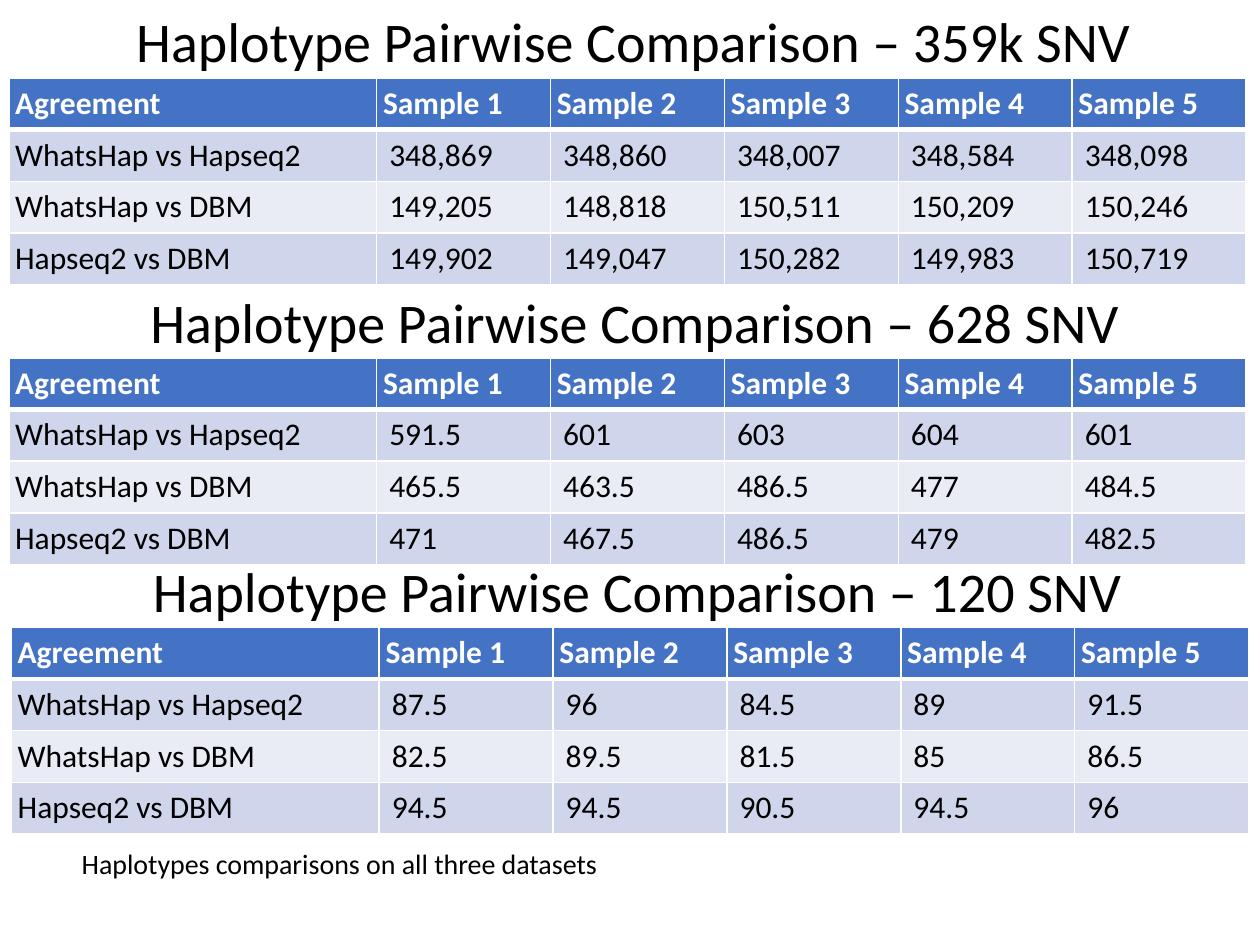
from pptx import Presentation
from pptx.dml.color import RGBColor
from pptx.enum.text import MSO_ANCHOR, MSO_AUTO_SIZE, PP_ALIGN
from pptx.oxml.ns import qn
from pptx.util import Inches, Pt
from lxml import etree

CENTER, LEFT = PP_ALIGN.CENTER, PP_ALIGN.LEFT
TOP = MSO_ANCHOR.TOP
NO_AUTOFIT = MSO_AUTO_SIZE.NONE
TITLE_ONLY = 5

COLORS = {
    "text": "000000",
    "white": "FFFFFF",
    "header": "4472C4",
    "odd_row": "CFD5EA",
    "even_row": "E9EBF5",
}
FONT = "Calibri"

COLUMN_WIDTHS = [2.92] + [1.38] * 5
ROW_HEIGHT = 0.41
HEADER = ["Agreement"] + [f"Sample {number}" for number in range(1, 6)]
PAIRS = ["WhatsHap vs Hapseq2", "WhatsHap vs DBM", "Hapseq2 vs DBM"]

# Data set, heading position, table position, values for each pair
COMPARISONS = [
    ("359k", (0.72, 0), (0.07, 0.62), [
        ["348,869", "348,860", "348,007", "348,584", "348,098"],
        ["149,205", "148,818", "150,511", "150,209", "150,246"],
        ["149,902", "149,047", "150,282", "149,983", "150,719"],
    ]),
    ("628", (0.73, 2.23), (0.07, 2.84), [
        ["591.5", "601", "603", "604", "601"],
        ["465.5", "463.5", "486.5", "477", "484.5"],
        ["471", "467.5", "486.5", "479", "482.5"],
    ]),
    ("120", (0.75, 4.37), (0.09, 4.98), [
        ["87.5", "96", "84.5", "89", "91.5"],
        ["82.5", "89.5", "81.5", "85", "86.5"],
        ["94.5", "94.5", "90.5", "94.5", "96"],
    ]),
]


class SlideBuilder:
    def __init__(self, page):
        self.page = page

    def style(self, para, size, color="text", bold=False, align=LEFT):
        para.alignment = align
        para.font.name = FONT
        para.font.size = Pt(size)
        para.font.bold = bold
        para.font.color.rgb = RGBColor.from_string(COLORS[color])

    def fill_box(self, box, position, height, text, size, align):
        box.left, box.top = (Inches(value) for value in position)
        box.width, box.height = Inches(8.62), Inches(height)
        frame = box.text_frame
        frame.text = text
        frame.word_wrap = True
        frame.auto_size = NO_AUTOFIT
        frame.vertical_anchor = TOP
        self.style(frame.paragraphs[0], size, align=align)

    def title(self, position, text):
        self.fill_box(self.page.shapes.title, position, 0.64, text, 32, CENTER)

    def text(self, position, height, text, size, align=LEFT):
        box = self.page.shapes.add_textbox(0, 0, 0, 0)
        self.fill_box(box, position, height, text, size, align)

    def borders(self, cell, top, bottom):
        properties = cell._tc.get_or_add_tcPr()
        for side, width in (("L", 1), ("R", 1), ("T", top), ("B", bottom)):
            line = etree.SubElement(properties, qn(f"a:ln{side}"), w=str(Pt(width)))
            fill = etree.SubElement(line, qn("a:solidFill"))
            etree.SubElement(fill, qn("a:srgbClr"), val=COLORS["white"])

    def cell(self, cell, text, row, column):
        is_header = row == 0
        self.borders(cell, 3 if row == 1 else 1, 3 if is_header else 1)
        fill = "header" if is_header else "odd_row" if row % 2 else "even_row"
        cell.fill.solid()
        cell.fill.fore_color.rgb = RGBColor.from_string(COLORS[fill])
        side_margin = 0.05 if is_header or column == 0 else 0.1
        cell.margin_left = cell.margin_right = Inches(side_margin)
        cell.margin_top = cell.margin_bottom = Inches(0.05)
        cell.text = text
        color = "white" if is_header else "text"
        self.style(cell.text_frame.paragraphs[0], 18, color, is_header)

    def table(self, position, rows):
        left, top = position
        table = self.page.shapes.add_table(
            len(rows), len(COLUMN_WIDTHS), Inches(left), Inches(top),
            Inches(sum(COLUMN_WIDTHS)), Inches(ROW_HEIGHT * len(rows))).table
        for column, width in zip(table.columns, COLUMN_WIDTHS):
            column.width = Inches(width)
        for row_index, values in enumerate(rows):
            table.rows[row_index].height = Inches(ROW_HEIGHT)
            for column_index, value in enumerate(values):
                self.cell(table.cell(row_index, column_index), value,
                          row_index, column_index)


def main():
    deck = Presentation()
    deck.slide_width, deck.slide_height = Inches(10), Inches(7.5)
    page = deck.slides.add_slide(deck.slide_layouts[TITLE_ONLY])
    builder = SlideBuilder(page)

    # Headings and tables
    for index, (count, heading_at, table_at, values) in enumerate(COMPARISONS):
        heading = f"Haplotype Pairwise Comparison – {count} SNV"
        if index == 0:
            builder.title(heading_at, heading)
        else:
            builder.text(heading_at, 0.64, heading, 32, CENTER)
        body = [[pair] + results for pair, results in zip(PAIRS, values)]
        builder.table(table_at, [HEADER] + body)

    # Caption
    builder.text((0.55, 6.67), 0.37,
                 "Haplotypes comparisons on all three datasets", 16)

    deck.save("out.pptx")


if __name__ == "__main__":
    main()
